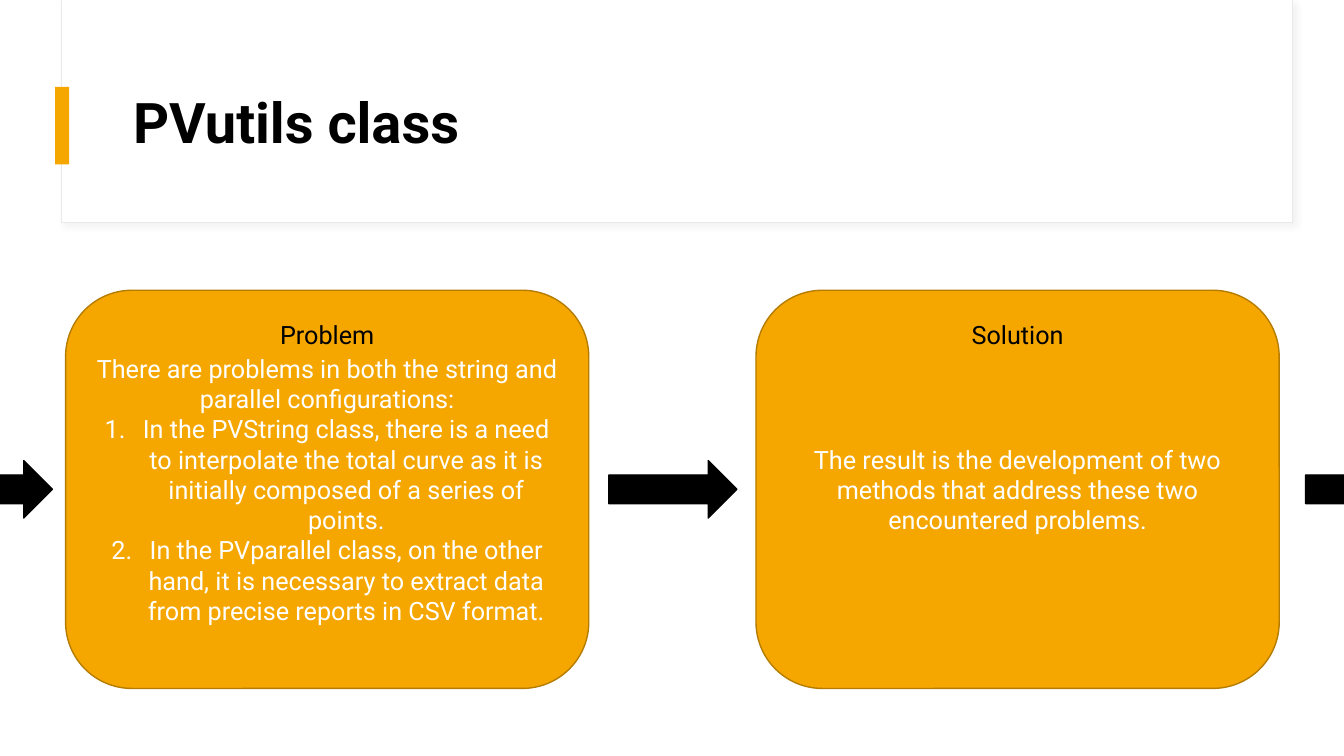
import dataclasses

import lxml.etree
import pptx
import pptx.dml.color
import pptx.enum.shapes
import pptx.enum.text
import pptx.oxml
import pptx.oxml.ns
import pptx.util

SHAPES = pptx.enum.shapes.MSO_SHAPE
ALIGN = pptx.enum.text.PP_ALIGN
ANCHOR = pptx.enum.text.MSO_ANCHOR
WIDTH, HEIGHT = pptx.util.Inches(13.33), pptx.util.Inches(7.5)


@dataclasses.dataclass(frozen=True)
class Theme:
    font: str = "Roboto"
    title_size: int = 40
    body_size: int = 18
    accent: str = "F5A700"
    accent_edge: str = "B57C00"
    dark: str = "000000"
    light: str = "FFFFFF"
    frame_edge: str = "E9E9E9"
    frame_shadow: str = "D9D9D9"


THEME = Theme()

# Places are percentages of the slide's width and height.
CARD_LEFT, CARD_TOP, CARD_WIDTH, CARD_HEIGHT = 4.88, 38.4, 38.93, 52.67
CARD_PITCH = 51.37
HEADING_WIDTH = 32.4
ARROW_LEFTS = (-5.63, 45.3, 97.15)

CARDS = (
    ("Problem",
     "There are problems in both the string and parallel configurations:",
     ("In the PVString class, there is a need to interpolate the total curve "
      "as it is initially composed of a series of points.",
      "In the PVparallel class, on the other hand, it is necessary to extract "
      "data from precise reports in CSV format.")),
    ("Solution",
     "The result is the development of two methods that address these two "
     "encountered problems.",
     ()),
)


def rgb(value):
    return pptx.dml.color.RGBColor.from_string(value)


def place(left, top, width, height):
    """Turn percentages of the slide into lengths."""
    return (int(WIDTH * left / 100), int(HEIGHT * top / 100),
            int(WIDTH * width / 100), int(HEIGHT * height / 100))


def add_block(slide, kind, box, fill, edge=None, edge_width=1):
    shape = slide.shapes.add_shape(kind, *place(*box))
    shape.shadow.inherit = False
    shape.fill.solid()
    shape.fill.fore_color.rgb = rgb(fill)
    if edge:
        shape.line.color.rgb = rgb(edge)
        shape.line.width = pptx.util.Pt(edge_width)
    else:
        shape.line.fill.background()
    return shape


def add_soft_shadow(shape, color):
    effects = shape.element.spPr.find(pptx.oxml.ns.qn("a:effectLst"))
    effects.append(pptx.oxml.parse_xml(
        f'<a:outerShdw {pptx.oxml.ns.nsdecls("a")} blurRad="50800" '
        'dist="38100" dir="2700000" algn="tl" rotWithShape="0">'
        f'<a:srgbClr val="{color}"><a:alpha val="30000"/></a:srgbClr>'
        '</a:outerShdw>'))


def format_paragraph(paragraph, size, color, align, bold=False):
    paragraph.alignment = align
    for run in paragraph.runs:
        run.font.name = THEME.font
        run.font.size = pptx.util.Pt(size)
        run.font.bold = bold
        run.font.color.rgb = rgb(color)


def number_paragraph(paragraph):
    properties = paragraph._p.get_or_add_pPr()
    indent = pptx.util.Inches(0.38)
    properties.set("marL", str(indent))
    properties.set("indent", str(-indent))
    lxml.etree.SubElement(properties, pptx.oxml.ns.qn("a:buFont"),
                          typeface="+mj-lt")
    lxml.etree.SubElement(properties, pptx.oxml.ns.qn("a:buAutoNum"),
                          type="arabicPeriod")


def add_header(slide, text):
    frame = add_block(slide, SHAPES.RECTANGLE, (4.6, 0, 91.55, 29.45),
                      THEME.light, THEME.frame_edge, 0.75)
    add_soft_shadow(frame, THEME.frame_shadow)
    add_block(slide, SHAPES.RECTANGLE, (4.1, 11.5, 1.05, 10.27), THEME.accent)

    title = slide.shapes.title
    frame.element.getparent().append(title.element)  # bring in front of frame
    title.left, title.top, title.width, title.height = place(
        9.15, 8, 83.4, 17.2)
    title.text_frame.text = text
    title.text_frame.word_wrap = True
    title.text_frame.vertical_anchor = ANCHOR.MIDDLE
    paragraph = title.text_frame.paragraphs[0]
    paragraph.line_spacing = 0.9
    format_paragraph(paragraph, THEME.title_size, THEME.dark, ALIGN.LEFT, True)


def add_card(slide, left, heading, statement, points):
    card = add_block(slide, SHAPES.ROUNDED_RECTANGLE,
                     (left, CARD_TOP, CARD_WIDTH, CARD_HEIGHT),
                     THEME.accent, THEME.accent_edge)
    text_frame = card.text_frame
    text_frame.word_wrap = True
    text_frame.vertical_anchor = ANCHOR.MIDDLE
    text_frame.text = "\n".join((statement, *points))
    for paragraph in text_frame.paragraphs:
        format_paragraph(paragraph, THEME.body_size, THEME.light, ALIGN.CENTER)
    for paragraph in text_frame.paragraphs[1:]:
        number_paragraph(paragraph)

    heading_left = left + (CARD_WIDTH - HEADING_WIDTH) / 2
    label = slide.shapes.add_textbox(
        *place(heading_left, 41.6, HEADING_WIDTH, 5.6))
    label.text_frame.word_wrap = True
    label.text_frame.text = heading
    format_paragraph(label.text_frame.paragraphs[0], THEME.body_size,
                     THEME.dark, ALIGN.CENTER)


def main():
    presentation = pptx.Presentation()
    presentation.slide_width, presentation.slide_height = WIDTH, HEIGHT
    title_only = presentation.slide_layouts[5]
    slide = presentation.slides.add_slide(title_only)

    add_header(slide, "PVutils class")
    for index, card in enumerate(CARDS):
        add_card(slide, CARD_LEFT + index * CARD_PITCH, *card)
    for left in ARROW_LEFTS:
        add_block(slide, SHAPES.RIGHT_ARROW, (left, 60.93, 9.53, 7.6),
                  THEME.dark, THEME.dark)

    presentation.save("out.pptx")


if __name__ == "__main__":
    main()
